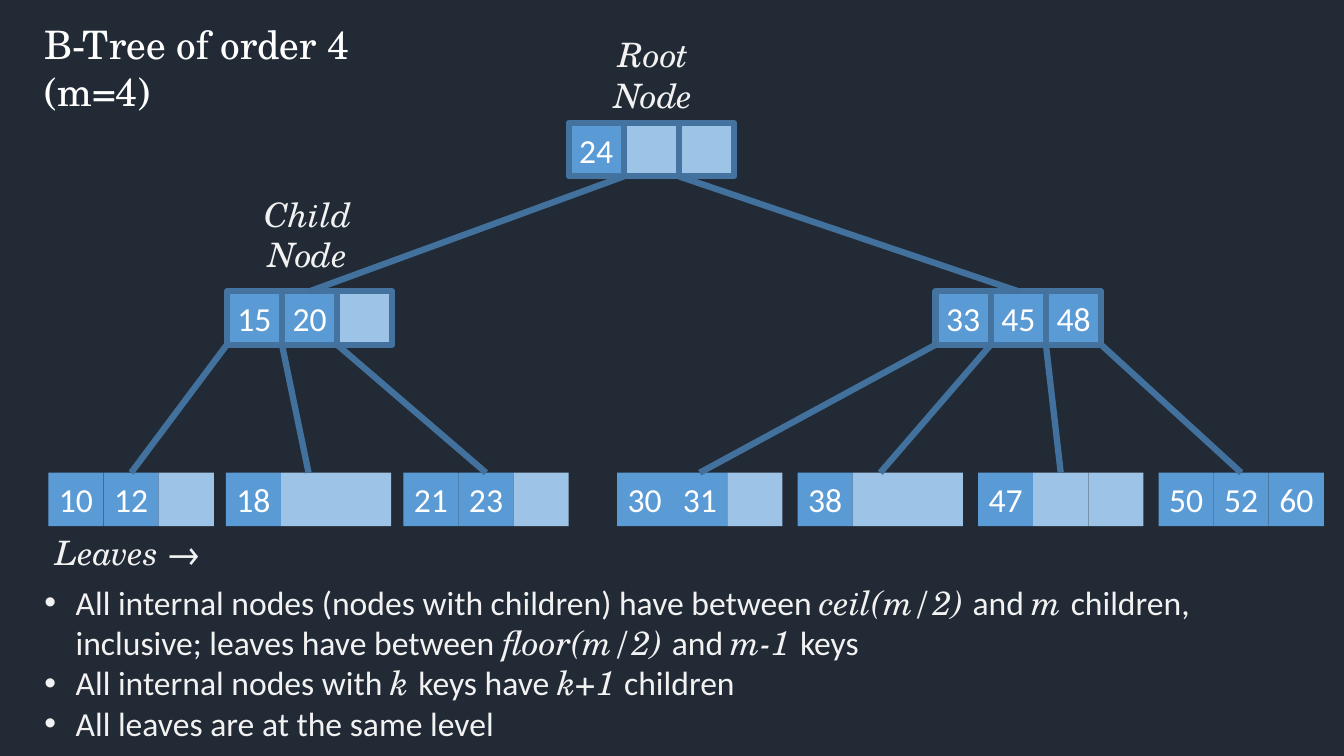
from pptx import Presentation
from pptx.dml.color import RGBColor
from pptx.enum.shapes import MSO_CONNECTOR as Connector, MSO_SHAPE as Shape
from pptx.enum.text import MSO_ANCHOR as Anchor, MSO_AUTO_SIZE as AutoSize, PP_ALIGN as Align
from pptx.oxml.ns import qn
from pptx.util import Inches, Pt
from lxml import etree

SANS, SERIF = "Calibri", "TeX Gyre Schola"
BACKGROUND, KEY_FILL, EMPTY_FILL = "222A35", "5B9BD5", "9DC3E6"
NODE_LINE, EDGE_LINE, WHITE, PALE = "43739E", "41719C", "FFFFFF", "F2F2F2"
CELL_WIDTH, CELL_HEIGHT, SLOTS = 0.547, 0.53, 3

TITLE = "B-Tree of order 4 (m=4)"
# Nodes: name -> (left, top, keys)
INTERNAL_NODES = {
    "root": (5.64, 1.22, [24]),
    "left": (2.25, 2.89, [15, 20]),
    "right": (9.28, 2.89, [33, 45, 48]),
}
LEAF_TOP = 4.69
# Leaf groups: parent -> (first left, distance between leaves, keys of each leaf)
LEAF_GROUPS = {
    "left": (0.48, 1.76, [[10, 12], [18], [21, 23]]),
    "right": (6.12, 1.79, [[30, 31], [38], [47], [50, 52, 60]]),
}
# Labels: text, left, top, width, height, alignment
LABELS = [
    ("Root Node", 5.66, 0.29, 1.64, 0.91, Align.CENTER),
    ("Child Node", 2.21, 1.87, 1.69, 0.91, Align.CENTER),
    ("Leaves →", 0.43, 5.23, 1.69, 0.5, Align.CENTER),
]
# Rules: plain and italic spans alternate
RULES = [
    ["All internal nodes (nodes with children) have between ", "ceil(m/2) ", "and ", "m ",
     "children, inclusive; leaves have between ", "floor(m/2) ", "and ", "m-1 ", "keys"],
    ["All internal nodes with ", "k ", "keys have ", "k+1 ", "children"],
    ["All leaves are at the same level"],
]


def color(value):
    return RGBColor.from_string(value)


def set_font(font, name, size, hex_color, italic=False):
    font.name, font.size, font.italic = name, Pt(size), italic
    font.color.rgb = color(hex_color)


def place(shape, *bounds):
    shape.left, shape.top, shape.width, shape.height = map(Inches, bounds)


def add_node(left, top, keys, outlined):
    for slot in range(SLOTS):
        box = slide.shapes.add_shape(
            Shape.RECTANGLE, Inches(left + slot * CELL_WIDTH), Inches(top),
            Inches(CELL_WIDTH), Inches(CELL_HEIGHT))
        box.shadow.inherit = False
        box.fill.solid()
        box.fill.fore_color.rgb = color(KEY_FILL if slot < len(keys) else EMPTY_FILL)
        if outlined:
            box.line.color.rgb = color(NODE_LINE)
            box.line.width = Pt(4.5)
        else:
            box.line.fill.background()
        if slot < len(keys):
            frame = box.text_frame
            frame.vertical_anchor = Anchor.MIDDLE
            para = frame.paragraphs[0]
            para.text, para.alignment = str(keys[slot]), Align.CENTER
            set_font(para.font, SANS, 24, WHITE)


def add_edge(parent, pointer, child_left, child_top):
    """Join the pointer between two parent cells to the top middle of a child."""
    left, top, _ = INTERNAL_NODES[parent]
    edge = slide.shapes.add_connector(
        Connector.STRAIGHT,
        Inches(child_left + SLOTS * CELL_WIDTH / 2), Inches(child_top),
        Inches(left + pointer * CELL_WIDTH), Inches(top + CELL_HEIGHT))
    edge.line.color.rgb = color(EDGE_LINE)
    edge.line.width = Pt(4.5)
    etree.SubElement(edge._element.spPr, qn("a:effectLst"))


deck = Presentation()
deck.slide_width, deck.slide_height = Inches(13.33), Inches(7.5)
slide = deck.slides.add_slide(deck.slide_layouts[1])
slide.background.fill.solid()
slide.background.fill.fore_color.rgb = color(BACKGROUND)

# Tree nodes, then the edges over them
leaves = [(parent, index, first + index * step, keys)
          for parent, (first, step, group) in LEAF_GROUPS.items()
          for index, keys in enumerate(group)]
for node in INTERNAL_NODES.values():
    add_node(*node, outlined=True)
for _, _, left, keys in leaves:
    add_node(left, LEAF_TOP, keys, outlined=False)
for pointer, child in enumerate(("left", "right"), start=1):
    add_edge("root", pointer, *INTERNAL_NODES[child][:2])
for parent, index, left, _ in leaves:
    add_edge(parent, index, left, LEAF_TOP)

# Level labels
for text, left, top, width, height, alignment in LABELS:
    label = slide.shapes.add_textbox(*map(Inches, (left, top, width, height)))
    label.text_frame.word_wrap = True
    para = label.text_frame.paragraphs[0]
    para.text, para.alignment = text, alignment
    set_font(para.font, SERIF, 24, PALE, italic=True)

# Title and rules
title, body = slide.shapes.title, slide.placeholders[1]
place(title, 0.34, 0.15, 3.66, 1.04)
place(body, 0.34, 5.72, 12.28, 1.72)
for holder in (title, body):
    holder.text_frame.word_wrap = True
    holder.text_frame.auto_size = AutoSize.NONE
    holder.text_frame.vertical_anchor = Anchor.TOP
para = title.text_frame.paragraphs[0]
para.text, para.alignment = TITLE, Align.LEFT
set_font(para.font, SERIF, 28, WHITE)

for number, spans in enumerate(RULES):
    frame = body.text_frame
    para = frame.add_paragraph() if number else frame.paragraphs[0]
    para.space_before = Pt(0)
    properties = para._p.get_or_add_pPr()
    properties.set("marL", str(Inches(0.31)))
    properties.set("indent", str(-Inches(0.31)))
    set_font(para.font, SANS, 24, PALE)
    for position, text in enumerate(spans):
        span = para.add_run()
        span.text = text
        italic = position % 2 == 1
        set_font(span.font, SERIF if italic else SANS, 24, PALE, italic)

deck.save("out.pptx")
